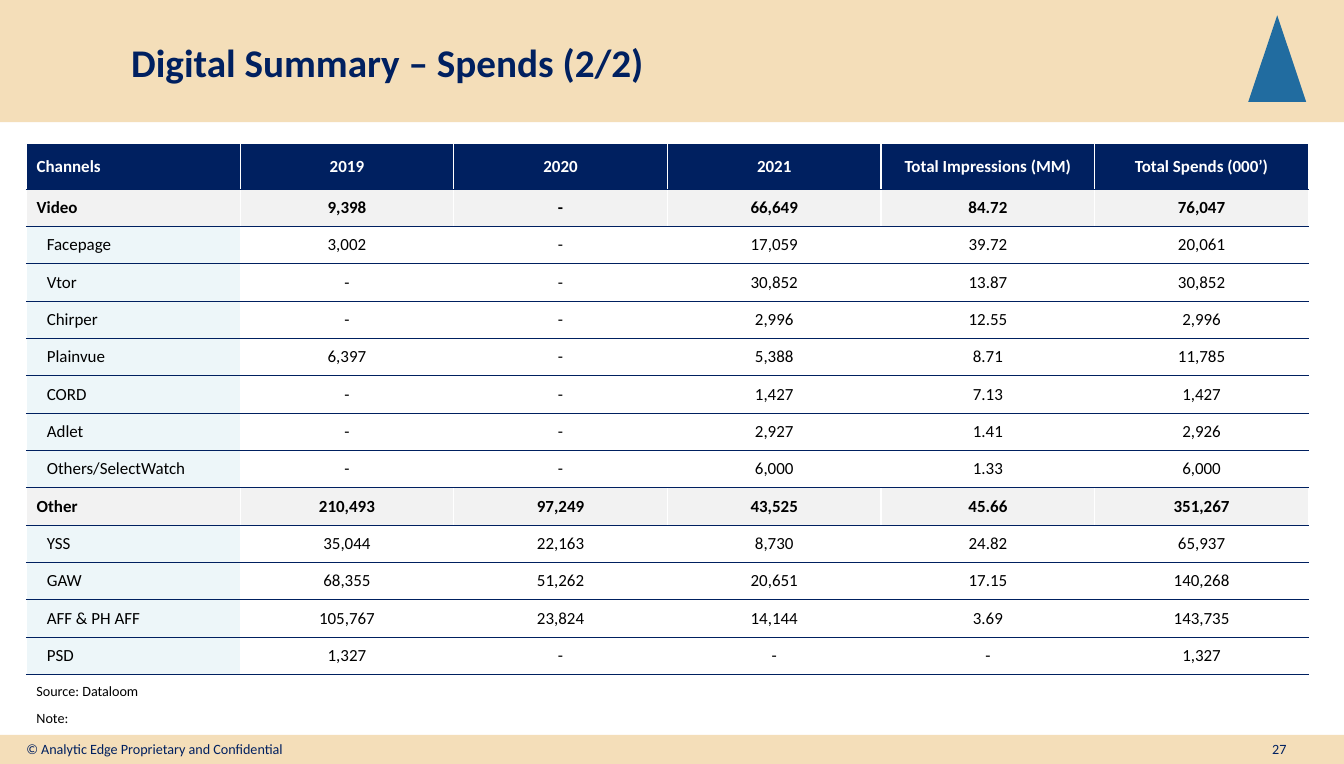
from dataclasses import dataclass

from lxml.etree import SubElement
from pptx import Presentation
from pptx.dml.color import RGBColor
from pptx.enum.shapes import MSO_SHAPE
from pptx.enum.text import MSO_ANCHOR, PP_ALIGN
from pptx.oxml.ns import qn
from pptx.util import Pt


@dataclass(frozen=True)
class Theme:
    font: str = "Calibri"
    navy: str = "002060"
    sand: str = "F4DEB9"
    blue: str = "216CA0"
    black: str = "000000"
    white: str = "FFFFFF"
    subtotal: str = "F2F2F2"
    channel: str = "EDF6F9"
    title_size: float = 27.7
    table_size: float = 12
    small_size: float = 10


THEME = Theme()


@dataclass(frozen=True)
class Block:
    kind: MSO_SHAPE
    left: float
    top: float
    width: float
    height: float
    color: str


@dataclass(frozen=True)
class Label:
    text: str
    left: float
    top: float
    width: float
    height: float
    size: float = THEME.small_size
    color: str = THEME.navy
    bold: bool = False
    align: PP_ALIGN = PP_ALIGN.LEFT
    anchor: MSO_ANCHOR = MSO_ANCHOR.TOP
    spacing: float = 1.0


@dataclass(frozen=True)
class RowStyle:
    height: float
    color: str
    bold: bool
    name_fill: str
    value_fill: str | None
    name_indent: float
    value_inset: float


HEADER = RowStyle(31.5, THEME.white, True, THEME.navy, THEME.navy, 7.2, 3.6)
SUBTOTAL = RowStyle(26.4, THEME.black, True, THEME.subtotal, THEME.subtotal, 7.2, 0.72)
CHANNEL = RowStyle(26.4, THEME.black, False, THEME.channel, None, 14.4, 0.72)

PAGE_WIDTH, PAGE_HEIGHT = 950.4, 540
TABLE_LEFT, TABLE_TOP, COLUMN_WIDTH = 18.72, 102.2, 151.1

BLOCKS = [
    Block(MSO_SHAPE.RECTANGLE, 0, 0, PAGE_WIDTH, 86.4, THEME.sand),
    Block(MSO_SHAPE.RECTANGLE, 0, 519.4, PAGE_WIDTH, 20.6, THEME.sand),
    Block(MSO_SHAPE.ISOSCELES_TRIANGLE, 882.7, 10.8, 41, 61.2, THEME.blue),
]

LABELS = [
    Label("Digital Summary – Spends (2/2)", 85.7, 13, 781.2, 62, THEME.title_size,
          bold=True, anchor=MSO_ANCHOR.MIDDLE),
    Label("© Analytic Edge Proprietary and Confidential", 11.5, 519.8, 199.4, 28.8),
    Label("27", 882, 519.8, 45.4, 28.8, align=PP_ALIGN.CENTER),
] + [
    Label(text, 18.72, top, 875.5, 23, color=THEME.black,
          anchor=MSO_ANCHOR.MIDDLE, spacing=0.9)
    for text, top in (("Source: Dataloom", 477.4), ("Note:", 496.8))
]

ROWS: list[tuple[RowStyle, list[str]]] = [
    (HEADER, ["Channels", "2019", "2020", "2021", "Total Impressions (MM)", "Total Spends (000’)"]),
    (SUBTOTAL, ["Video", "9,398", "-", "66,649", "84.72", "76,047"]),
    (CHANNEL, ["Facepage", "3,002", "-", "17,059", "39.72", "20,061"]),
    (CHANNEL, ["Vtor", "-", "-", "30,852", "13.87", "30,852"]),
    (CHANNEL, ["Chirper", "-", "-", "2,996", "12.55", "2,996"]),
    (CHANNEL, ["Plainvue", "6,397", "-", "5,388", "8.71", "11,785"]),
    (CHANNEL, ["CORD", "-", "-", "1,427", "7.13", "1,427"]),
    (CHANNEL, ["Adlet", "-", "-", "2,927", "1.41", "2,926"]),
    (CHANNEL, ["Others/SelectWatch", "-", "-", "6,000", "1.33", "6,000"]),
    (SUBTOTAL, ["Other", "210,493", "97,249", "43,525", "45.66", "351,267"]),
    (CHANNEL, ["YSS", "35,044", "22,163", "8,730", "24.82", "65,937"]),
    (CHANNEL, ["GAW", "68,355", "51,262", "20,651", "17.15", "140,268"]),
    (CHANNEL, ["AFF & PH AFF", "105,767", "23,824", "14,144", "3.69", "143,735"]),
    (CHANNEL, ["PSD", "1,327", "-", "-", "-", "1,327"]),
]


def apply(target, values: dict) -> None:
    for name, value in values.items():
        setattr(target, name, value)


def write(frame, text: str, size: float, color: str, bold: bool,
          align: PP_ALIGN, spacing: float = 1.0) -> None:
    para = frame.paragraphs[0]
    apply(para, {"alignment": align, "line_spacing": spacing})
    span = para.add_run()
    span.text = text
    apply(span.font, {"name": THEME.font, "size": Pt(size), "bold": bold})
    span.font.color.rgb = RGBColor.from_string(color)


def draw_block(page, block: Block) -> None:
    shape = page.shapes.add_shape(block.kind, Pt(block.left), Pt(block.top),
                                  Pt(block.width), Pt(block.height))
    shape.shadow.inherit = False
    shape.fill.solid()
    shape.fill.fore_color.rgb = RGBColor.from_string(block.color)
    shape.line.fill.background()


def draw_label(page, label: Label) -> None:
    box = page.shapes.add_textbox(Pt(label.left), Pt(label.top),
                                  Pt(label.width), Pt(label.height))
    apply(box.text_frame, {"word_wrap": True, "vertical_anchor": label.anchor})
    write(box.text_frame, label.text, label.size, label.color, label.bold,
          label.align, label.spacing)


def add_borders(cell) -> None:
    properties = cell._tc.get_or_add_tcPr()
    sides = {"lnL": THEME.white, "lnR": THEME.white, "lnT": THEME.navy, "lnB": THEME.navy}
    for side, color in sides.items():
        line = SubElement(properties, qn(f"a:{side}"), w=str(Pt(1)))
        fill = SubElement(line, qn("a:solidFill"))
        SubElement(fill, qn("a:srgbClr"), val=color)


def draw_cell(cell, text: str, style: RowStyle, is_name: bool) -> None:
    inset = Pt(3.6 if is_name else style.value_inset)
    apply(cell, {
        "vertical_anchor": MSO_ANCHOR.MIDDLE,
        "margin_left": Pt(style.name_indent) if is_name else inset,
        "margin_right": inset,
        "margin_top": inset,
        "margin_bottom": inset,
    })
    add_borders(cell)
    color = style.name_fill if is_name else style.value_fill
    if color:
        cell.fill.solid()
        cell.fill.fore_color.rgb = RGBColor.from_string(color)
    else:
        cell.fill.background()
    write(cell.text_frame, text, THEME.table_size, style.color, style.bold,
          PP_ALIGN.LEFT if is_name else PP_ALIGN.CENTER)


def draw_table(page) -> None:
    column_count = len(ROWS[0][1])
    height = sum(style.height for style, _ in ROWS)
    table = page.shapes.add_table(len(ROWS), column_count, Pt(TABLE_LEFT), Pt(TABLE_TOP),
                                  Pt(COLUMN_WIDTH * column_count), Pt(height)).table
    apply(table, {"first_row": False, "horz_banding": False})
    for column in table.columns:
        column.width = Pt(COLUMN_WIDTH)
    for row, (style, texts) in zip(table.rows, ROWS):
        row.height = Pt(style.height)
        for index, (cell, text) in enumerate(zip(row.cells, texts)):
            draw_cell(cell, text, style, is_name=index == 0)


def main() -> None:
    deck = Presentation()
    apply(deck, {"slide_width": Pt(PAGE_WIDTH), "slide_height": Pt(PAGE_HEIGHT)})
    page = deck.slides.add_slide(deck.slide_layouts[6])

    # Header band, footer band and corner mark
    for block in BLOCKS:
        draw_block(page, block)

    # Title, footer and notes under the table
    for label in LABELS:
        draw_label(page, label)

    # Spend by channel
    draw_table(page)

    deck.save("out.pptx")


if __name__ == "__main__":
    main()
